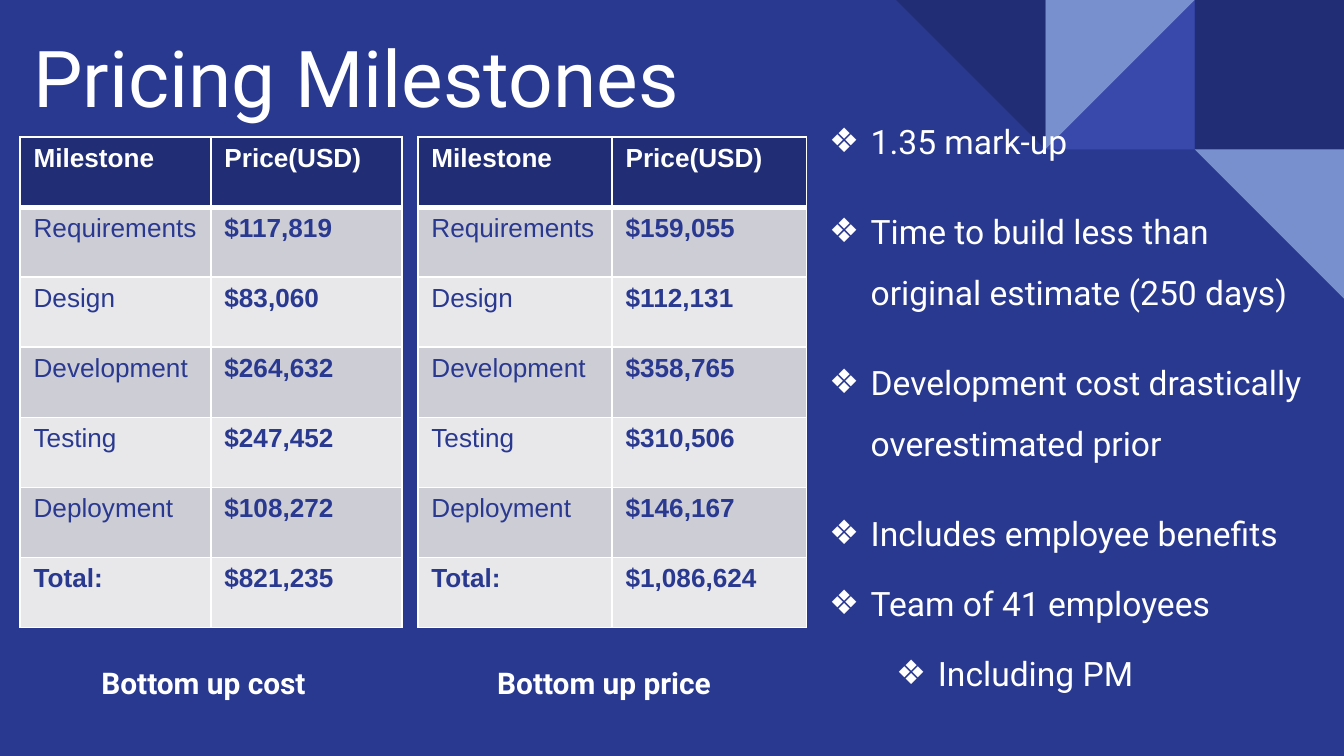
from lxml import etree
from pptx import Presentation, util as u
from pptx.dml.color import RGBColor
from pptx.enum import shapes, text
from pptx.oxml.ns import qn

WHITE = RGBColor(0xFF, 0xFF, 0xFF)
BLUE = RGBColor(0x2A, 0x39, 0x90)
NAVY = RGBColor(0x21, 0x2D, 0x74)
INDIGO = RGBColor(0x39, 0x49, 0xAB)
SKY = RGBColor(0x78, 0x90, 0xCD)
BANDS = RGBColor(0xCD, 0xCD, 0xD6), RGBColor(0xE8, 0xE8, 0xEB)

WIDTH = 10
HEIGHT = WIDTH * 9 / 16
TILE = WIDTH / 9
TABLE_TOP, TABLE_HEIGHT = 1.02, 3.65
CAPTION_TOP, CAPTION_WIDTH = 4.88, 2.53

TITLE = "Pricing Milestones"
HEADER = ("Milestone", "Price(USD)")
MILESTONES = ("Requirements", "Design", "Development", "Testing", "Deployment", "Total:")
# caption, caption left, table left, table width, prices
TABLES = [
    ("Bottom up cost", 0.25, 0.15, 2.84,
     ("$117,819", "$83,060", "$264,632", "$247,452", "$108,272", "$821,235")),
    ("Bottom up price", 3.23, 3.11, 2.89,
     ("$159,055", "$112,131", "$358,765", "$310,506", "$146,167", "$1,086,624")),
]
# text, indent level, line spacing
POINTS = [
    ("1.35 mark-up", 0, 1.5),
    ("Time to build less than original estimate (250 days)", 0, 1.5),
    ("Development cost drastically overestimated prior", 0, 1.5),
    ("Includes employee benefits", 0, 1.5),
    ("Team of 41 employees", 0, 1.0),
    ("Including PM", 1, 1.0),
]
# tile column, tile row, preset, rotation, mirrored, colour
SQUARE, TRIANGLE = shapes.MSO_SHAPE.RECTANGLE, shapes.MSO_SHAPE.RIGHT_TRIANGLE
TILES = [
    (8, 0, SQUARE, 0, False, NAVY),
    (7, 0, TRIANGLE, 0, True, INDIGO),
    (7, 0, TRIANGLE, 180, True, SKY),
    (6, 0, TRIANGLE, 180, False, NAVY),
    (8, 1, TRIANGLE, 180, False, SKY),
]


def write(paragraph, words, size, font="Roboto", color=WHITE, bold=False, align=None):
    paragraph.alignment = align
    run = paragraph.add_run()
    run.text = words
    run.font.size, run.font.name, run.font.bold = u.Pt(size), font, bold
    run.font.color.rgb = color


def add_box(slide, left, top, width, height, anchor=text.MSO_ANCHOR.MIDDLE):
    frame = slide.shapes.add_textbox(*map(u.Inches, (left, top, width, height))).text_frame
    frame.word_wrap = True
    frame.vertical_anchor = anchor
    frame.margin_left = frame.margin_right = u.Inches(0.1)
    frame.margin_top = frame.margin_bottom = u.Inches(0.1)
    return frame


def add_tile(slide, column, row, preset, rotation, mirrored, color):
    tile = slide.shapes.add_shape(
        preset, *map(u.Inches, (column * TILE, row * TILE, TILE, TILE)))
    tile.shadow.inherit = False
    tile.fill.solid()
    tile.fill.fore_color.rgb = color
    tile.line.fill.background()
    tile.rotation = rotation
    if mirrored:
        tile._element.spPr.find(qn("a:xfrm")).set("flipH", "1")


def add_borders(cell, row):
    """White 1 pt sides, with a 3 pt rule between the header and the body."""
    properties = cell._tc.get_or_add_tcPr()
    sides = {"L": 1, "R": 1, "T": 3 if row == 1 else 1, "B": 3 if row == 0 else 1}
    for side, points in sides.items():
        line = etree.SubElement(properties, qn(f"a:ln{side}"), w=str(u.Pt(points)))
        fill = etree.SubElement(line, qn("a:solidFill"))
        etree.SubElement(fill, qn("a:srgbClr"), val=str(WHITE))


def add_price_table(slide, left, width, prices):
    rows = [HEADER, *zip(MILESTONES, prices)]
    table = slide.shapes.add_table(
        len(rows), len(HEADER),
        *map(u.Inches, (left, TABLE_TOP, width, TABLE_HEIGHT))).table
    for r, row in enumerate(rows):
        table.rows[r].height = u.Inches(TABLE_HEIGHT / len(rows))
        for c, words in enumerate(row):
            cell = table.cell(r, c)
            add_borders(cell, r)
            cell.fill.solid()
            cell.fill.fore_color.rgb = BANDS[(r - 1) % 2] if r else NAVY
            write(cell.text_frame.paragraphs[0], words, 14, font="Arial",
                  color=BLUE if r else WHITE,
                  bold=r in (0, len(rows) - 1) or c == 1)


def add_bullet(paragraph, level):
    properties = paragraph._p.get_or_add_pPr()
    properties.set("marL", str(u.Inches(0.91 + 0.5 * level)))
    properties.set("indent", str(u.Inches(-0.31)))
    color = etree.SubElement(properties, qn("a:buClr"))
    etree.SubElement(color, qn("a:srgbClr"), val=str(WHITE))
    etree.SubElement(properties, qn("a:buSzPct"), val="100000")
    etree.SubElement(properties, qn("a:buFont"), typeface="Roboto")
    etree.SubElement(properties, qn("a:buChar"), char="❖")


def main():
    deck = Presentation()
    deck.slide_width, deck.slide_height = u.Inches(WIDTH), u.Inches(HEIGHT)
    slide = deck.slides.add_slide(deck.slide_layouts[6])
    slide.background.fill.solid()
    slide.background.fill.fore_color.rgb = BLUE

    for tile in TILES:
        add_tile(slide, *tile)
    write(add_box(slide, 0.15, 0.11, 8.99, 0.92).paragraphs[0], TITLE, 42)

    for caption, caption_left, left, width, prices in TABLES:
        add_price_table(slide, left, width, prices)
        frame = add_box(slide, caption_left, CAPTION_TOP, CAPTION_WIDTH, 0.4)
        write(frame.paragraphs[0], caption, 16, bold=True, align=text.PP_ALIGN.CENTER)

    frame = add_box(slide, 5.47, 0.65, 4.38, 4.74, anchor=text.MSO_ANCHOR.TOP)
    for i, (words, level, spacing) in enumerate(POINTS):
        paragraph = frame.add_paragraph() if i else frame.paragraphs[0]
        add_bullet(paragraph, level)
        paragraph.level = level + 1
        paragraph.line_spacing = spacing
        paragraph.space_before = u.Pt(16 if i else 0)
        write(paragraph, words, 18)

    deck.save("out.pptx")


if __name__ == "__main__":
    main()
